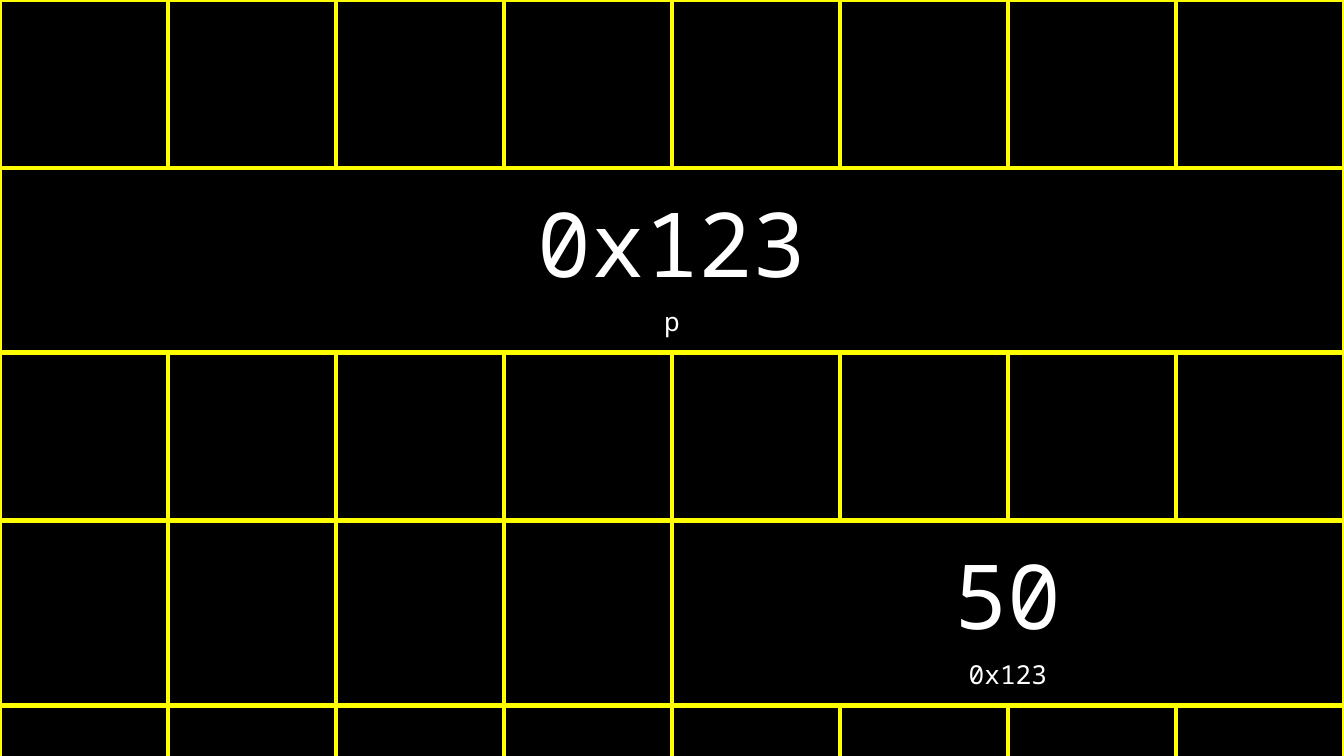
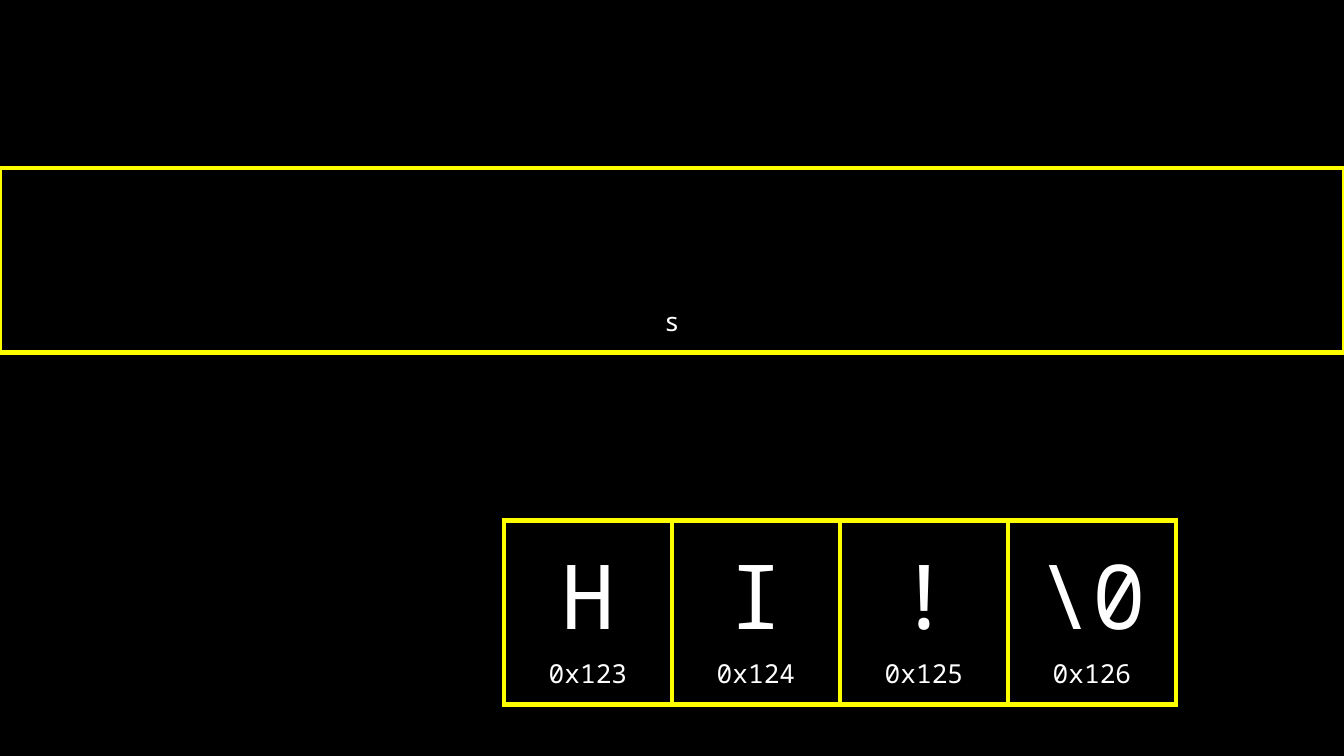
from dataclasses import dataclass

from lxml.etree import SubElement
from pptx import Presentation
from pptx.dml.color import RGBColor
from pptx.enum.text import MSO_ANCHOR as Anchor, PP_ALIGN as Align
from pptx.oxml.ns import qn
from pptx.slide import Slide
from pptx.table import Table, _Cell as Cell
from pptx.util import Inches, Pt

COLORS = {"memory": "000000", "grid": "FFFF00", "text": "FFFFFF"}
FONT = "Noto Sans Mono"
VALUE_SIZE, LABEL_SIZE = 48, 14
BYTES_PER_ROW, ROW_COUNT = 8, 5
BYTE_SIDE, VARIABLE_HEIGHT = 1.25, 1.37
GRID_WEIGHT = Pt(3)
MARGIN = Inches(0.1)
EDGES = {"a:lnL": (0, -1), "a:lnR": (0, 1), "a:lnT": (-1, 0), "a:lnB": (1, 0)}

Position = tuple[int, int]


@dataclass(frozen=True)
class Variable:
    row: int
    first_byte: int
    size: int
    label: str
    value: str = ""

    def positions(self) -> set[Position]:
        return {(self.row, self.first_byte + offset) for offset in range(self.size)}


@dataclass(frozen=True)
class MemoryView:
    variables: list[Variable]
    shows_every_byte: bool

    def framed(self) -> set[Position]:
        if self.shows_every_byte:
            return {(r, c) for r in range(ROW_COUNT) for c in range(BYTES_PER_ROW)}
        return set().union(*(variable.positions() for variable in self.variables))


VIEWS = [
    MemoryView(
        [Variable(1, 0, 8, "p", "0x123"), Variable(3, 4, 4, "0x123", "50")],
        shows_every_byte=True,
    ),
    MemoryView(
        [Variable(1, 0, 8, "s")]
        + [
            Variable(3, 3 + index, 1, f"0x{0x123 + index:x}", character)
            for index, character in enumerate(["H", "I", "!", "\\0"])
        ],
        shows_every_byte=False,
    ),
]


def draw_edges(cell: Cell, position: Position, framed: set[Position]) -> None:
    properties = cell._tc.get_or_add_tcPr()
    row, column = position
    for tag, (down, right) in EDGES.items():
        edge = SubElement(properties, qn(tag), w=str(GRID_WEIGHT))
        if position in framed or (row + down, column + right) in framed:
            fill = SubElement(edge, qn("a:solidFill"))
            SubElement(fill, qn("a:srgbClr"), val=COLORS["grid"])
        else:
            SubElement(edge, qn("a:noFill"))
    cell.fill.background()


def write_variable(table: Table, variable: Variable) -> None:
    cell = table.cell(variable.row, variable.first_byte)
    if variable.size > 1:
        last_byte = variable.first_byte + variable.size - 1
        cell.merge(table.cell(variable.row, last_byte))
    cell.vertical_anchor = Anchor.BOTTOM
    cell.margin_left = cell.margin_right = MARGIN
    cell.margin_top = cell.margin_bottom = MARGIN
    lines = [(variable.value, VALUE_SIZE), (variable.label, LABEL_SIZE)]
    shown = [(text, size) for text, size in lines if text]
    cell.text_frame.text = "\n".join(text for text, _ in shown)
    for paragraph, (_, size) in zip(cell.text_frame.paragraphs, shown):
        paragraph.alignment = Align.CENTER
        for run in paragraph.runs:
            run.font.name = FONT
            run.font.size = Pt(size)
            run.font.color.rgb = RGBColor.from_string(COLORS["text"])


def draw_memory(slide: Slide, view: MemoryView) -> None:
    variable_rows = {variable.row for variable in view.variables}
    heights = [
        Inches(VARIABLE_HEIGHT if row in variable_rows else BYTE_SIDE)
        for row in range(ROW_COUNT)
    ]
    memory = slide.shapes.add_table(
        ROW_COUNT, BYTES_PER_ROW, 0, 0, Inches(BYTE_SIDE * BYTES_PER_ROW), sum(heights)
    ).table
    memory.first_row = False
    memory.horz_banding = False
    for column in memory.columns:
        column.width = Inches(BYTE_SIDE)
    framed = view.framed()
    for row, height in enumerate(heights):
        memory.rows[row].height = height
        for column in range(BYTES_PER_ROW):
            draw_edges(memory.cell(row, column), (row, column), framed)
    for variable in view.variables:
        write_variable(memory, variable)


def main() -> None:
    deck = Presentation()
    deck.slide_width = Inches(10)
    deck.slide_height = deck.slide_width * 9 // 16
    backdrop = deck.slide_master.background.fill
    backdrop.solid()
    backdrop.fore_color.rgb = RGBColor.from_string(COLORS["memory"])
    blank = deck.slide_layouts[6]
    for view in VIEWS:
        draw_memory(deck.slides.add_slide(blank), view)
    deck.save("out.pptx")


if __name__ == "__main__":
    main()
